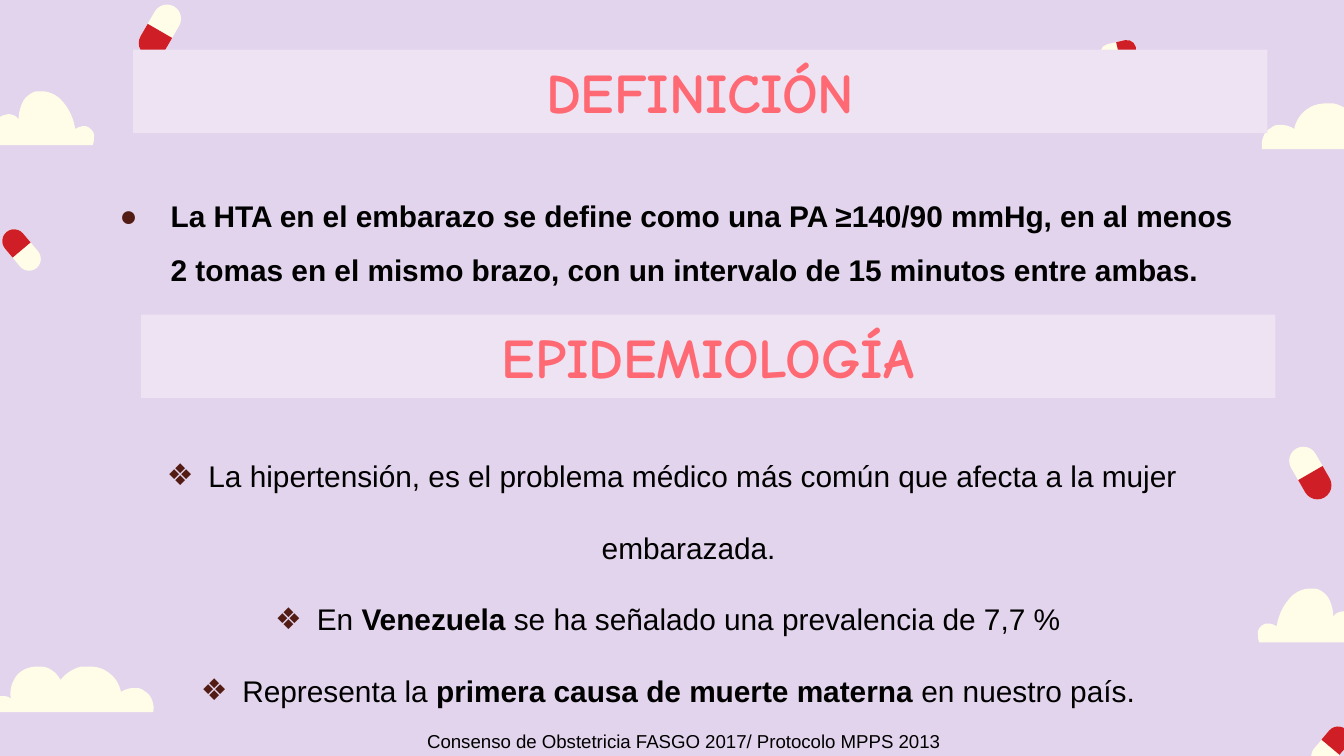
from math import cos, radians, sin

from lxml import etree
from pptx import Presentation, util as u
from pptx.dml.color import RGBColor
from pptx.enum import shapes, text
from pptx.oxml.ns import qn

WIDTH = 10
HEIGHT = WIDTH * 9 / 16
LILAC, PALE, CREAM, RED = "E3D4ED", "EEE3F3", "FFFDE8", "CF1E25"
CORAL, OUTLINE, BROWN, BLACK = "FF6973", "FF0E39", "521C15", "000000"

DEFINITION = [("La HTA en el embarazo se define como una PA ≥140/90 mmHg, en al menos 2 tomas "
               "en el mismo brazo, con un intervalo de 15 minutos entre ambas.", True)]
EPIDEMIOLOGY = [
    [("La hipertensión, es el problema médico más común que afecta a la mujer embarazada. ", False)],
    [("En ", False), ("Venezuela", True), (" se ha señalado una prevalencia de 7,7 % ", False)],
    [("Representa la ", False), ("primera causa de muerte materna ", True),
     ("en nuestro país. ", False)],
]
SOURCE = "Consenso de Obstetricia FASGO 2017/ Protocolo MPPS 2013"

# Cloud outlines: a start point, then lines (2 numbers) and Bézier curves (6 numbers)
WIDE_CLOUD = [
    (0.28, 4.96), (0.22, 4.96, 0.17, 4.98, 0.13, 5.02), (0.09, 5.07, 0.07, 5.13, 0.08, 5.2),
    (0.06, 5.18, 0.04, 5.18, 0, 5.18), (-0.03, 5.18, -0.06, 5.2, -0.07, 5.23),
    (-0.08, 5.25, -0.07, 5.28, -0.05, 5.3), (1.14, 5.3), (1.15, 5.24, 1.13, 5.17, 1.07, 5.14),
    (1.05, 5.12, 1.02, 5.12, 1, 5.12), (0.96, 5.12, 0.93, 5.13, 0.9, 5.15),
    (0.89, 5.09, 0.85, 5.03, 0.8, 5), (0.76, 4.97, 0.71, 4.96, 0.66, 4.96), (0.61, 4.96),
    (0.55, 4.97, 0.49, 5.01, 0.45, 5.06), (0.42, 5, 0.36, 4.96, 0.3, 4.96),
]
TALL_CLOUD = [
    (0.31, 0.68), (0.27, 0.68), (0.23, 0.69, 0.19, 0.72, 0.17, 0.76),
    (0.15, 0.8, 0.14, 0.84, 0.14, 0.89), (0.12, 0.86, 0.09, 0.85, 0.06, 0.85), (0.02, 0.86),
    (-0.02, 0.88, -0.05, 0.91, -0.07, 0.96), (-0.08, 1, -0.07, 1.04, -0.05, 1.08), (0.69, 1.08),
    (0.7, 1.06, 0.7, 1.02, 0.7, 1), (0.69, 0.97, 0.67, 0.95, 0.64, 0.94), (0.62, 0.94),
    (0.6, 0.94, 0.58, 0.95, 0.56, 0.96), (0.55, 0.89, 0.52, 0.82, 0.47, 0.76),
    (0.43, 0.71, 0.37, 0.68, 0.31, 0.68),
]
# outline, mirror sum (None keeps the direction), vertical shift
CLOUDS = [(WIDE_CLOUD, None, 0), (TALL_CLOUD, None, 0),
          (WIDE_CLOUD, 10.53, -4.19), (TALL_CLOUD, 10.06, 3.7)]
# centre x, centre y, length, rotation of a pill whose red half points down
PILLS = [(1.19, 0.23, 0.42, 30), (0.16, 1.86, 0.35, 140), (8.32, 0.38, 0.27, 257),
         (9.75, 3.52, 0.42, 330), (9.9, 5.56, 0.35, 220)]


def color(value):
    return RGBColor.from_string(value)


def paint(shape, value):
    shape.shadow.inherit = False
    shape.fill.solid()
    shape.fill.fore_color.rgb = color(value)
    shape.line.fill.background()


def place(shape, left, top, width, height):
    shape.left, shape.top, shape.width, shape.height = map(u.Inches, (left, top, width, height))


def set_font(run, size, value, bold=False, name="Arial"):
    run.font.size, run.font.bold, run.font.name = u.Pt(size), bold, name
    run.font.color.rgb = color(value)


def flatten(outline, steps=8):
    """Turn lines and Bézier curves into a list of points."""
    points = [outline[0]]
    for segment in outline[1:]:
        if len(segment) == 2:
            points.append(segment)
            continue
        controls = [points[-1], segment[:2], segment[2:4], segment[4:]]
        for step in range(1, steps + 1):
            t = step / steps
            weights = ((1 - t) ** 3, 3 * t * (1 - t) ** 2, 3 * t * t * (1 - t), t ** 3)
            points.append(tuple(sum(w * c[axis] for w, c in zip(weights, controls))
                                for axis in (0, 1)))
    return points


def add_cloud(slide, outline, mirror, shift):
    points = [(x if mirror is None else mirror - x, y + shift) for x, y in flatten(outline)]
    points = [(round(x * 1000), round(y * 1000)) for x, y in points]
    builder = slide.shapes.build_freeform(*points[0], scale=u.Inches(1) / 1000)
    builder.add_line_segments(points[1:], close=True)
    paint(builder.convert_to_shape(), CREAM)


def add_pill(slide, x, y, length, rotation):
    width, angle = length / 2, radians(rotation)
    half_x, half_y = x - sin(angle) * length / 4, y + cos(angle) * length / 4
    kinds = shapes.MSO_SHAPE
    for kind, cx, cy, height, corners, fill in (
            (kinds.ROUNDED_RECTANGLE, x, y, length, [0.5], CREAM),
            (kinds.ROUND_2_SAME_RECTANGLE, half_x, half_y, length / 2, [0, 0.5], RED)):
        box = map(u.Inches, (cx - width / 2, cy - height / 2, width, height))
        part = slide.shapes.add_shape(kind, *box)
        for index, corner in enumerate(corners):
            part.adjustments[index] = corner
        part.rotation = rotation
        paint(part, fill)


def set_up_frame(frame, anchor):
    frame.word_wrap, frame.auto_size = True, text.MSO_AUTO_SIZE.NONE
    frame.vertical_anchor = anchor
    frame.margin_left = frame.margin_right = u.Inches(0.1)
    frame.margin_top = frame.margin_bottom = u.Inches(0.1)


def format_banner(shape, left, top, words):
    place(shape, left, top, 8.44, 0.62)
    paint(shape, PALE)
    frame = shape.text_frame
    frame.text = words
    set_up_frame(frame, text.MSO_ANCHOR.MIDDLE)
    paragraph = frame.paragraphs[0]
    paragraph.alignment = text.PP_ALIGN.CENTER
    run = paragraph.runs[0]
    set_font(run, 30, CORAL, True, "Comic Neue")
    line = etree.Element(qn("a:ln"), w=str(u.Pt(1)))
    fill = etree.SubElement(line, qn("a:solidFill"))
    etree.SubElement(fill, qn("a:srgbClr"), val=OUTLINE)
    run.font._element.insert(0, line)


def write_item(paragraph, parts, bullet, margin, hanging, spacing, alignment, before=0):
    paragraph.alignment, paragraph.line_spacing = alignment, spacing
    paragraph.space_before, paragraph.space_after = u.Pt(before), u.Pt(0)
    for words, bold in parts:
        run = paragraph.add_run()
        run.text = words
        set_font(run, 16, BLACK, bold)
    properties = paragraph._p.get_or_add_pPr()
    properties.set("marL", str(u.Inches(margin)))
    properties.set("indent", str(-u.Inches(hanging)))
    bullet_color = etree.SubElement(properties, qn("a:buClr"))
    etree.SubElement(bullet_color, qn("a:srgbClr"), val=BROWN)
    etree.SubElement(properties, qn("a:buFont"), typeface="Arial")
    etree.SubElement(properties, qn("a:buChar"), char=bullet)


def main():
    presentation = Presentation()
    presentation.slide_width, presentation.slide_height = u.Inches(WIDTH), u.Inches(HEIGHT)
    slide = presentation.slides.add_slide(presentation.slide_layouts[1])
    slide.background.fill.solid()
    slide.background.fill.fore_color.rgb = color(LILAC)
    title, body = slide.shapes.title, slide.placeholders[1]

    for cloud in CLOUDS:
        add_cloud(slide, *cloud)
    for pill in PILLS:
        add_pill(slide, *pill)
    for placeholder in (title, body):  # bring the text in front of the decoration
        slide.shapes._spTree.append(placeholder._element)

    format_banner(title, 0.99, 0.37, "DEFINICIÓN")

    place(body, 0.67, 1.24, 8.66, 3.72)
    frame = body.text_frame
    set_up_frame(frame, text.MSO_ANCHOR.TOP)
    write_item(frame.paragraphs[0], DEFINITION, "●", 0.5, 0.38, 1.5, text.PP_ALIGN.LEFT)
    for index, parts in enumerate(EPIDEMIOLOGY):
        write_item(frame.add_paragraph(), parts, "❖", 0.31, 0.31, 2, text.PP_ALIGN.CENTER,
                   before=0 if index else 72)

    footer = slide.shapes.add_textbox(*map(u.Inches, (1.63, 5.38, 6.91, 0.27)))
    footer.text_frame.word_wrap = True
    footer.text_frame.text = SOURCE
    paragraph = footer.text_frame.paragraphs[0]
    paragraph.alignment = text.PP_ALIGN.CENTER
    set_font(paragraph.runs[0], 10, BLACK)

    banner = slide.shapes.add_shape(shapes.MSO_SHAPE.RECTANGLE, 0, 0, 0, 0)
    format_banner(banner, 1.05, 2.34, "EPIDEMIOLOGÍA")
    presentation.save("out.pptx")


if __name__ == "__main__":
    main()
